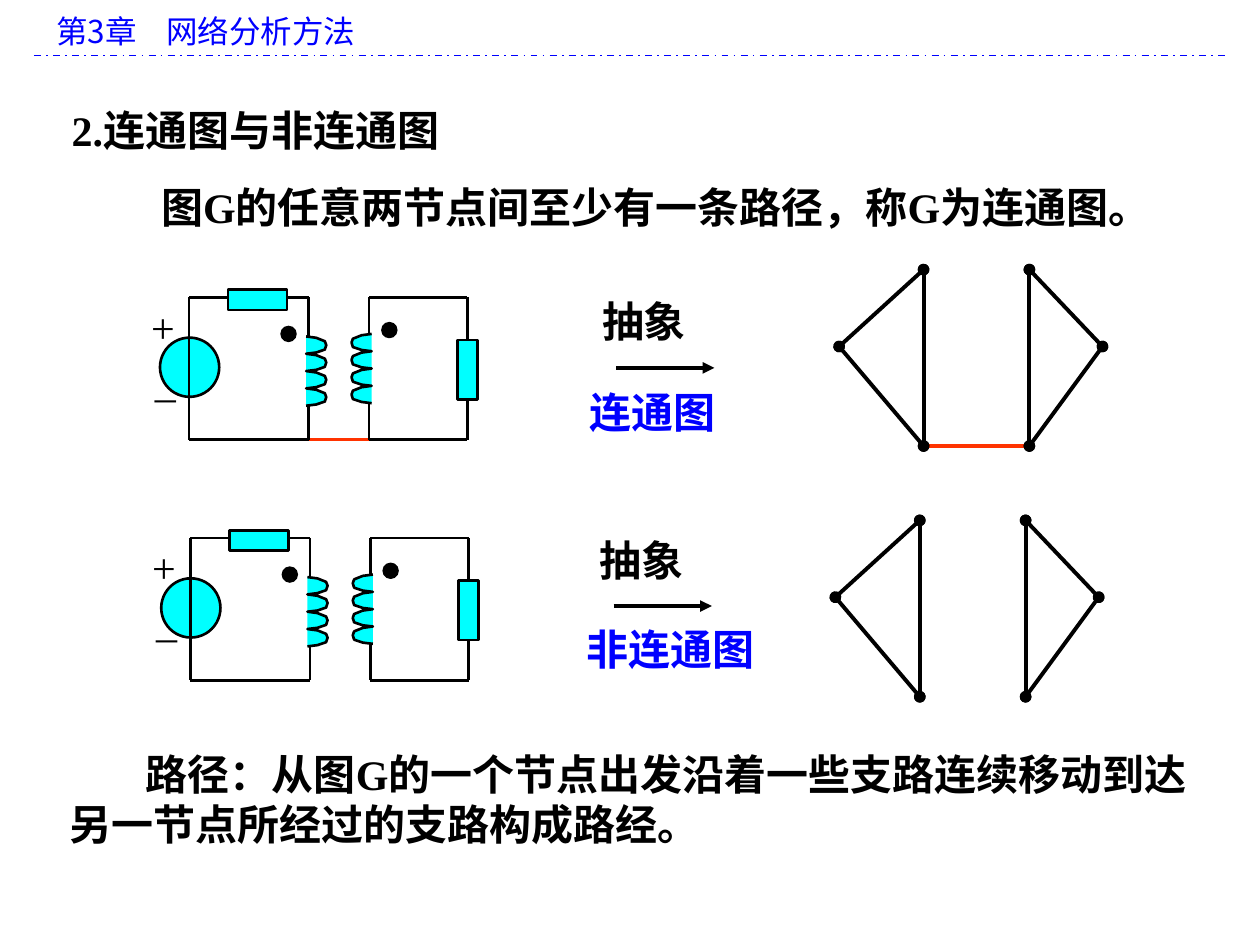
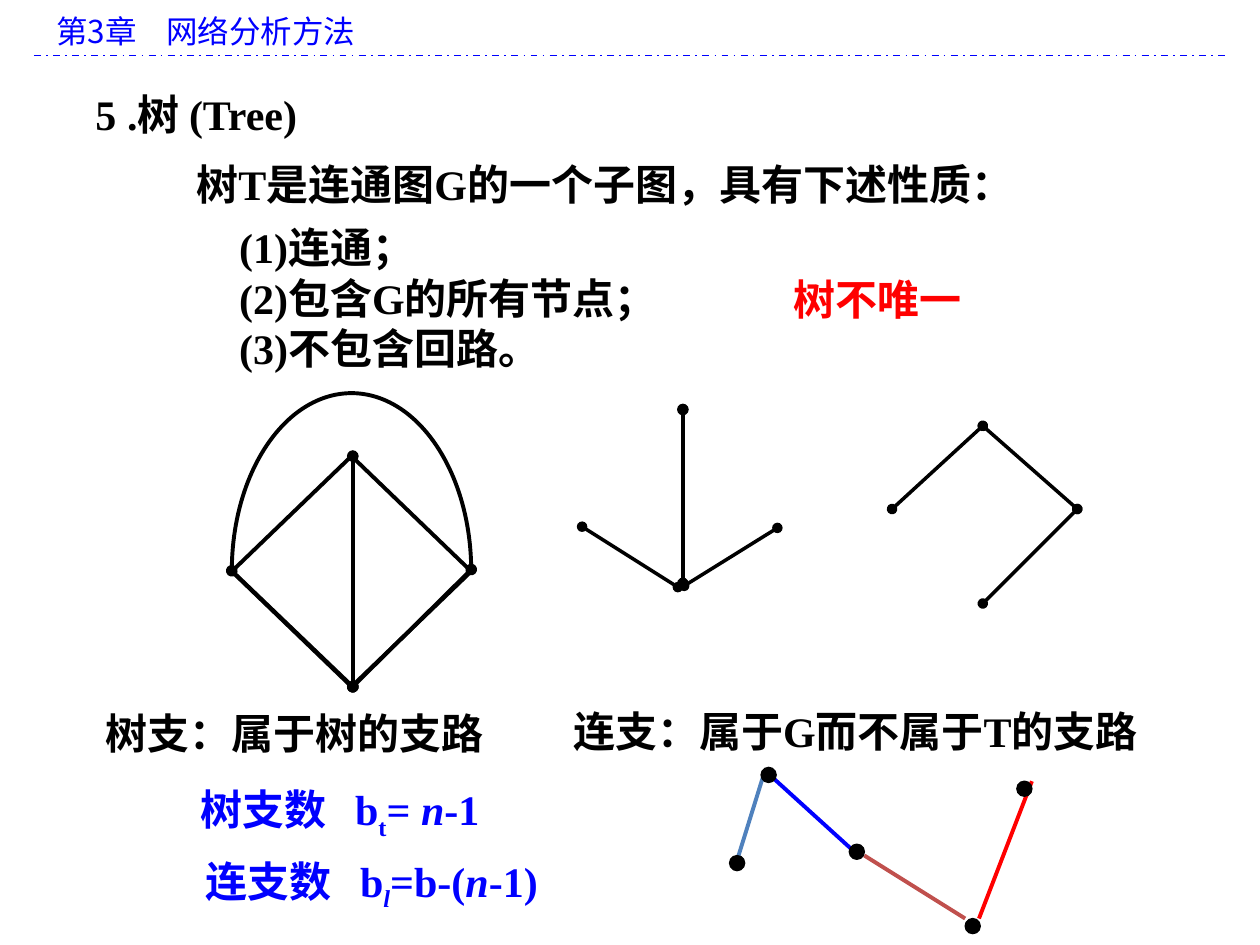
from lxml.etree import SubElement
from pptx import Presentation
from pptx.dml.color import RGBColor
from pptx.enum.dml import MSO_LINE
from pptx.enum.shapes import MSO_CONNECTOR, MSO_SHAPE
from pptx.enum.text import MSO_ANCHOR, PP_ALIGN
from pptx.oxml.ns import qn
from pptx.util import Inches, Pt

BLACK = RGBColor(0x00, 0x00, 0x00)
WHITE = RGBColor(0xFF, 0xFF, 0xFF)
BLUE = RGBColor(0x00, 0x00, 0xFF)
RED = RGBColor(0xFF, 0x00, 0x00)
ORANGE = RGBColor(0xFF, 0x33, 0x00)
CYAN = RGBColor(0x00, 0xFF, 0xFF)
STEEL = RGBColor(0x4F, 0x81, 0xBD)
BRICK = RGBColor(0xC0, 0x50, 0x4D)

CJK_FONT = "Noto Sans CJK SC"
BODY = {"name": "Times New Roman", "size": Pt(24), "bold": True}
SIGN = BODY | {"bold": False}
HEADER = {"name": CJK_FONT, "size": Pt(18), "bold": False}
ITALIC = {"italic": True}


# ---- Shared drawing helpers ----
def add_text(slide, box, paragraphs, color=BLACK, style=BODY, indent=0, tab=0,
             wrap=True, anchor=MSO_ANCHOR.TOP, align=PP_ALIGN.LEFT):
    """Each paragraph is a string or a list of (text, format, baseline) runs."""
    frame = slide.shapes.add_textbox(*map(Inches, box)).text_frame
    frame.word_wrap = wrap
    frame.vertical_anchor = anchor
    for number, runs in enumerate(paragraphs):
        paragraph = frame.add_paragraph() if number else frame.paragraphs[0]
        paragraph.alignment = align
        properties = paragraph._p.get_or_add_pPr()
        if indent:
            properties.set("indent", str(Inches(indent)))
        if tab:
            stops = SubElement(properties, qn("a:tabLst"))
            SubElement(stops, qn("a:tab"), pos=str(Inches(tab)), algn="l")
        if isinstance(runs, str):
            runs = [(runs, {}, 0)]
        for words, extra, baseline in runs:
            run = paragraph.add_run()
            run.text = words
            for key, value in (style | extra).items():
                setattr(run.font, key, value)
            run.font.color.rgb = color
            character = run._r.get_or_add_rPr()
            SubElement(character, qn("a:ea"), typeface=CJK_FONT)
            if baseline:
                character.set("baseline", str(baseline * 1000))


def add_line(slide, start, end, color=BLACK, width=2.25, head=None, tail=None):
    line = slide.shapes.add_connector(
        MSO_CONNECTOR.STRAIGHT, *map(Inches, (*start, *end)))
    line.line.color.rgb = color
    line.line.width = Pt(width)
    SubElement(line._element.spPr, qn("a:effectLst"))
    outline = line.line._get_or_add_ln()
    for tag, kind in (("a:headEnd", head), ("a:tailEnd", tail)):
        if kind:
            SubElement(outline, qn(tag), type=kind)
    return line


def paint(shape, fill, width):
    shape.shadow.inherit = False
    if fill is None:
        shape.fill.background()
    else:
        shape.fill.solid()
        shape.fill.fore_color.rgb = fill
    shape.line.color.rgb = BLACK
    shape.line.width = Pt(width)


def add_part(slide, preset, box, fill=CYAN, width=1.5):
    shape = slide.shapes.add_shape(preset, *map(Inches, box))
    paint(shape, fill, width)
    return shape


def add_dot(slide, left, top):
    add_part(slide, MSO_SHAPE.OVAL, (left, top, 0.12, 0.12), BLACK, 0.75)


def add_branches(slide, left, top, branches, width=2.25):
    """Graph branches with a node at each end."""
    for (x1, y1), (x2, y2) in branches:
        add_line(slide, (left + x1, top + y1), (left + x2, top + y2),
                 width=width, head="oval", tail="oval")


def add_chapter_header(slide):
    add_text(slide, (0.35, 0.05, 9.37, 0.4), ["第3章\t网络分析方法"],
             BLUE, HEADER, tab=0.87)
    rule = add_line(slide, (0.27, 0.44), (9.72, 0.44), BLUE, 1)
    rule.line.dash_style = MSO_LINE.DASH_DOT


# ---- Connected and unconnected graphs ----
def add_coil(slide, flat_x, top, direction):
    """Four half-turns bulging from flat_x; direction 1 is right, -1 left."""
    depth, turn = 0.16 * direction, 0.55 / 4
    profile = [(0, 0), (0.5, 0.08), (0.93, 0.28), (1, 0.5), (0.93, 0.76), (0.5, 0.93)]
    points = [(Inches(flat_x + depth * x), Inches(top + turn * (number + y)))
              for number in range(4) for x, y in profile]
    points.append((Inches(flat_x), Inches(top + 4 * turn)))
    builder = slide.shapes.build_freeform(*points[0], scale=1.0)
    builder.add_line_segments(points[1:], close=False)
    paint(builder.convert_to_shape(), CYAN, 1.5)


def add_transformer_circuit(slide, left, top, linked):
    height = 1.13
    primary, secondary, load = 0.95, 1.43, 2.21

    def wire(x1, y1, x2, y2, color=BLACK):
        add_line(slide, (left + x1, top + y1), (left + x2, top + y2), color, 1.5)

    if linked:
        wire(0.86, height, 1.49, height, ORANGE)
    # Windings, then the source beneath its wire
    for x in (primary, secondary, load):
        wire(x, 0, x, height)
    add_coil(slide, left + 0.93, top + 0.31, 1)
    add_coil(slide, left + 1.45, top + 0.29, -1)
    add_part(slide, MSO_SHAPE.OVAL, (left - 0.23, top + 0.32, 0.47, 0.47))
    wire(0, 0, 0, height)
    for y in (0, height):
        wire(0, y, primary, y)
        wire(secondary, y, load, y)
    # Resistors and polarity marks
    add_part(slide, MSO_SHAPE.RECTANGLE, (left + 0.31, top - 0.06, 0.47, 0.16))
    add_part(slide, MSO_SHAPE.RECTANGLE, (left + 2.13, top + 0.34, 0.16, 0.47))
    add_dot(slide, left + 0.73, top + 0.23)
    add_dot(slide, left + 1.53, top + 0.2)
    for sign, x, y in (("+", -0.4, -0.02), ("_", -0.37, 0.41)):
        add_text(slide, (left + x, top + y, 0.39, 0.5), [sign], style=SIGN,
                 wrap=False, anchor=MSO_ANCHOR.MIDDLE)


def add_abstraction_arrow(slide, left, top, kind, kind_y):
    add_text(slide, (left + 0.1, top, 1.3, 0.5), ["抽象"])
    add_line(slide, (left + 0.31, top + 0.62), (left + 1.09, top + 0.62),
             tail="triangle")
    add_text(slide, (left, top + kind_y, 0.21 + len(kind) / 3, 0.5), [kind],
             BLUE, wrap=False)


def add_twin_triangles(slide, left, top, linked):
    height = 1.4
    if linked:
        add_line(slide, (left + 0.67, top + height), (left + 1.51, top + height), ORANGE)
    for inner, tip in ((0.67, 0), (1.51, 2.09)):
        corners = [(inner, 0), (tip, 0.61), (inner, height)]
        add_branches(slide, left, top, zip(corners, corners[1:] + corners[:1]))


def build_connectivity_slide(slide):
    add_chapter_header(slide)
    add_text(slide, (0.47, 0.78, 8.97, 0.5), ["2.连通图与非连通图"],
             align=PP_ALIGN.JUSTIFY)
    add_text(slide, (0.58, 1.39, 9.14, 0.5),
             ["图G的任意两节点间至少有一条路径，称G为连通图。"], indent=0.6,
             align=PP_ALIGN.JUSTIFY)
    add_transformer_circuit(slide, 1.5, 2.36, linked=True)
    add_transformer_circuit(slide, 1.51, 4.27, linked=False)
    add_abstraction_arrow(slide, 4.58, 2.3, "连通图", 0.72)
    add_abstraction_arrow(slide, 4.56, 4.19, "非连通图", 0.71)
    add_twin_triangles(slide, 6.66, 2.14, linked=True)
    add_twin_triangles(slide, 6.63, 4.13, linked=False)
    add_text(slide, (0.45, 5.89, 9.09, 0.9),
             ["路径：从图G的一个节点出发沿着一些支路连续移动到"
              "达另一节点所经过的支路构成路经。"], indent=0.61)


# ---- Trees ----
def add_full_graph(slide, left, top):
    add_part(slide, MSO_SHAPE.DIAMOND, (left, top + 0.5, 1.9, 1.83), WHITE, 2.25)
    arch = add_part(slide, MSO_SHAPE.ARC, (left, top, 1.9, 2.82), None, 2.25)
    arch.adjustments[0] = 108  # 180 degrees, in units of 100000/60000 degree
    arch.adjustments[1] = 0
    bottom = (0.96, 2.33)
    add_branches(slide, left, top,
                 [(node, bottom) for node in ((0.96, 0.5), (0, 1.41), (1.9, 1.4))])


def add_star_tree(slide, left, top):
    add_branches(slide, left, top, [((0, 0.93), (0.76, 1.41)),
                                    ((0.81, 1.4), (1.55, 0.94))], 2)
    add_branches(slide, left, top, [((0.8, 0), (0.8, 1.38))])


def add_path_tree(slide, left, top):
    nodes = [(0, 0.66), (0.72, 0), (1.47, 0.66), (0.72, 1.41)]
    add_branches(slide, left, top, zip(nodes, nodes[1:]), 2)


def add_colored_chain(slide, left, top):
    branches = [((0.28, 0.03), (0.05, 0.77), STEEL), ((0.33, 0.07), (0.98, 0.66), BLUE),
                ((1.07, 0.7), (1.87, 1.2), BRICK), ((2.4, 0.11), (1.98, 1.2), RED)]
    for (x1, y1), (x2, y2), color in branches:
        add_line(slide, (left + x1, top + y1), (left + x2, top + y2), color)
    for x, y in ((0.25, 0), (0, 0.7), (1.87, 1.2), (2.28, 0.11), (0.95, 0.61)):
        add_dot(slide, left + x, top + y)


def add_branch_counts(slide, left, top):
    tree_count = [("树支数\tb", {}, 0), ("t", {}, -25), ("= ", {}, 0),
                  ("n", ITALIC, 0), ("-1", {}, 0)]
    link_count = [("连支数\tb", {}, 0), ("l", ITALIC, -25), ("=b-(", {}, 0),
                  ("n", ITALIC, 0), ("-1)", {}, 0)]
    for row, count in enumerate((tree_count, link_count)):
        add_text(slide, (left + 0.04 * row, top + 0.57 * row, 3.8, 0.5), [count],
                 BLUE, tab=1.23)


def build_tree_slide(slide):
    add_chapter_header(slide)
    add_text(slide, (0.66, 0.65, 8.76, 0.5), ["5 .树 (Tree)"], align=PP_ALIGN.JUSTIFY)
    add_text(slide, (1.46, 1.21, 6.79, 0.5), ["树T是连通图G的一个子图，具有下述性质："])
    add_text(slide, (1.8, 1.71, 7.37, 1.3),
             ["(1)连通；", "(2)包含G的所有节点；", "(3)不包含回路。"])
    add_text(slide, (6.2, 2.12, 2.26, 0.5), ["树不唯一"], RED)
    add_full_graph(slide, 1.84, 3.12)
    add_star_tree(slide, 4.62, 3.25)
    add_path_tree(slide, 7.08, 3.38)
    add_text(slide, (0.74, 5.57, 4.45, 0.5), ["树支：属于树的支路"])
    add_text(slide, (4.45, 5.55, 5.04, 0.5), ["连支：属于G而不属于T的支路"])
    add_branch_counts(slide, 1.49, 6.17)
    add_colored_chain(slide, 5.79, 6.09)


def main():
    deck = Presentation()
    deck.slide_width, deck.slide_height = Inches(10), Inches(7.5)
    for build in (build_connectivity_slide, build_tree_slide):
        build(deck.slides.add_slide(deck.slide_layouts[6]))
    deck.save("out.pptx")


if __name__ == "__main__":
    main()
